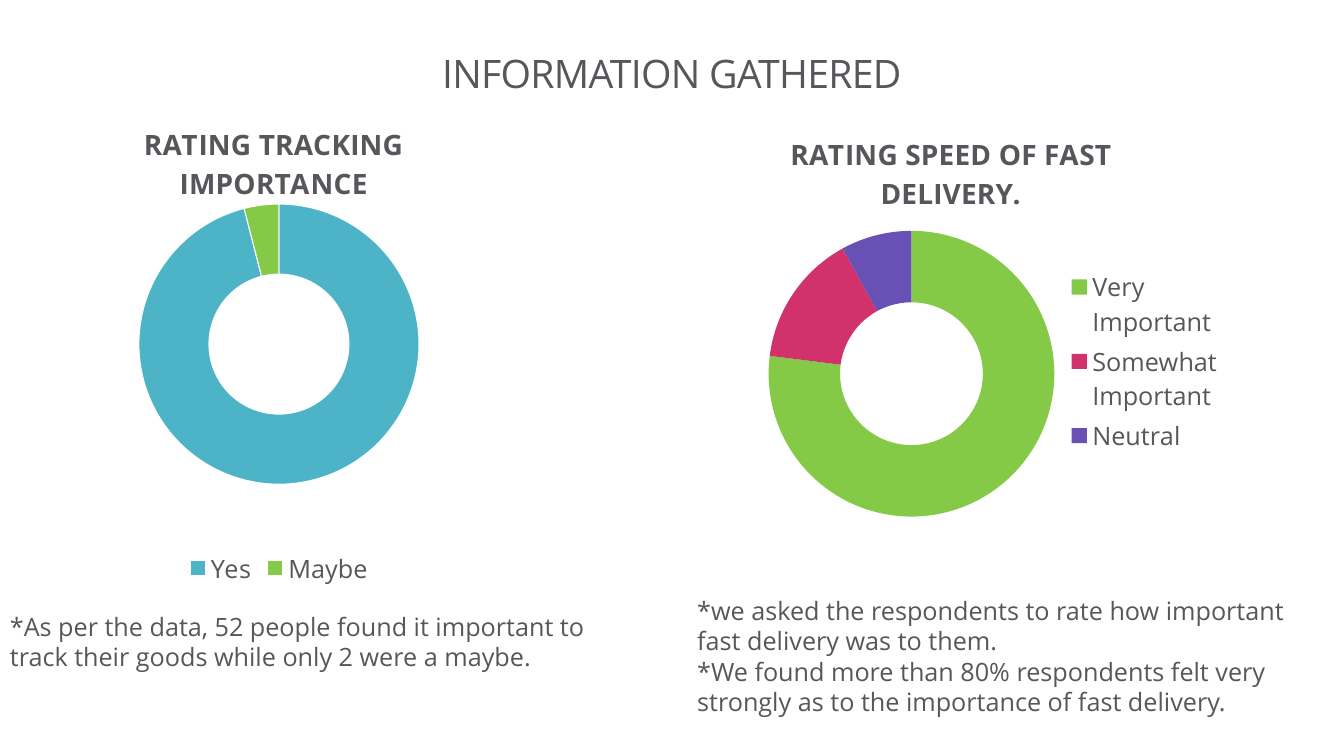
from lxml import etree
from pptx import Presentation
from pptx.chart.data import CategoryChartData
from pptx.dml.color import RGBColor
from pptx.enum.chart import XL_CHART_TYPE as ChartType, XL_LEGEND_POSITION as LegendPosition
from pptx.enum.text import MSO_ANCHOR as Anchor, MSO_AUTO_SIZE as AutoSize, PP_ALIGN as Align
from pptx.oxml.ns import qn
from pptx.util import Cm, Pt

FONT = "Open Sans"
COLORS = {
    "text": "57565A",
    "white": "FFFFFF",
    "teal": "4DB3C7",
    "green": "85CA46",
    "pink": "D2326B",
    "violet": "6850B4",
}


def color(name):
    return RGBColor.from_string(COLORS[name])


def style_font(font, size, bold=False):
    font.name = FONT
    font.size = Pt(size)
    font.bold = bold
    font.color.rgb = color("text")


def place(shape, box):
    shape.left, shape.top, shape.width, shape.height = (Cm(length) for length in box)


def add_heading(page, box, text):
    title = page.shapes.title
    place(title, box)
    frame = title.text_frame
    frame.margin_left = frame.margin_right = frame.margin_top = frame.margin_bottom = 0
    frame.vertical_anchor = Anchor.MIDDLE
    frame.word_wrap = True
    frame.auto_size = AutoSize.NONE
    para = frame.paragraphs[0]
    para.alignment = Align.CENTER
    para.line_spacing = 0.86
    span = para.add_run()
    span.text = text
    style_font(span.font, 28)
    span.font._element.set("spc", "-50")


def set_layout(parent, **values):
    layout = parent.find(qn("c:layout"))
    if layout is None:
        layout = etree.Element(qn("c:layout"))
        tx = parent.find(qn("c:tx"))
        parent.insert(0 if tx is None else 1, layout)
    for child in list(layout):
        layout.remove(child)
    manual = etree.SubElement(layout, qn("c:manualLayout"))
    for key, value in values.items():
        etree.SubElement(manual, qn(f"c:{key}")).set("val", str(value))


def add_doughnut(page, box, title, title_at, shares, plot_box, legend_position, outlined=False):
    data = CategoryChartData()
    data.categories = [label for label, _, _ in shares]
    data.add_series("Series 1", [value for _, value, _ in shares])
    chart = page.shapes.add_chart(
        ChartType.DOUGHNUT, *(Cm(length) for length in box), data
    ).chart
    style_font(chart.font, 18)

    chart.has_title = True
    para = chart.chart_title.text_frame.paragraphs[0]
    span = para.add_run()
    span.text = title
    style_font(span.font, 20, bold=True)
    chart.chart_title.include_in_layout = False
    title_x, title_y = title_at
    set_layout(chart.chart_title._element, xMode="edge", yMode="edge", x=title_x, y=title_y)

    chart.has_legend = True
    chart.legend.position = legend_position
    chart.legend.include_in_layout = False
    style_font(chart.legend.font, 18)

    plot = chart.plots[0]
    plot.vary_by_categories = True
    plot._element.find(qn("c:holeSize")).set("val", "75")
    for index, (_, _, fill_name) in enumerate(shares):
        slice_format = plot.series[0].points[index].format
        slice_format.fill.solid()
        slice_format.fill.fore_color.rgb = color(fill_name)
        if outlined:
            slice_format.line.color.rgb = color("white")
            slice_format.line.width = Pt(0.75)
        else:
            slice_format.line.fill.background()

    x, y, w, h = plot_box
    set_layout(
        plot._element.getparent(),
        layoutTarget="inner", xMode="edge", yMode="edge", x=x, y=y, w=w, h=h,
    )


def add_notes(page, box, lines):
    note = page.shapes.add_textbox(*(Cm(length) for length in box))
    frame = note.text_frame
    frame.word_wrap = True
    frame.auto_size = AutoSize.SHAPE_TO_FIT_TEXT
    for index, line in enumerate(lines):
        para = frame.add_paragraph() if index else frame.paragraphs[0]
        span = para.add_run()
        span.text = line
        style_font(span.font, 18)


def build_results(deck):
    page = deck.slides.add_slide(deck.slide_layouts[5])
    add_heading(page, (2.54, 0.79, 28.78, 2.26), "INFORMATION GATHERED")
    add_doughnut(
        page, (-0.03, 2.82, 14.12, 12.07), "RATING TRACKING IMPORTANCE", (0.25, 0.01),
        [("Yes", 96, "teal"), ("Maybe", 4, "green")],
        (0.25, 0.18, 0.5, 0.61), LegendPosition.BOTTOM, outlined=True,
    )
    add_doughnut(
        page, (16.97, 2.82, 14.12, 12.57), "RATING SPEED OF FAST DELIVERY.", (0.2, 0.03),
        [
            ("Very Important", 77, "green"),
            ("Somewhat Important", 15, "pink"),
            ("Neutral", 8, "violet"),
        ],
        (0.17, 0.22, 0.51, 0.61), LegendPosition.RIGHT,
    )
    add_notes(page, (0, 15.27, 16.13, 1.8), [
        "*As per the data, 52 people found it important to track their goods while only 2 were a maybe.",
    ])
    add_notes(page, (17.32, 14.88, 16.13, 3.33), [
        "*we asked the respondents to rate how important fast delivery was to them.",
        "*We found more than 80% respondents felt very strongly as to the importance of fast delivery.",
    ])


def main():
    deck = Presentation()
    deck.slide_width, deck.slide_height = Cm(33.87), Cm(19.05)
    build_results(deck)
    deck.save("out.pptx")


if __name__ == "__main__":
    main()
